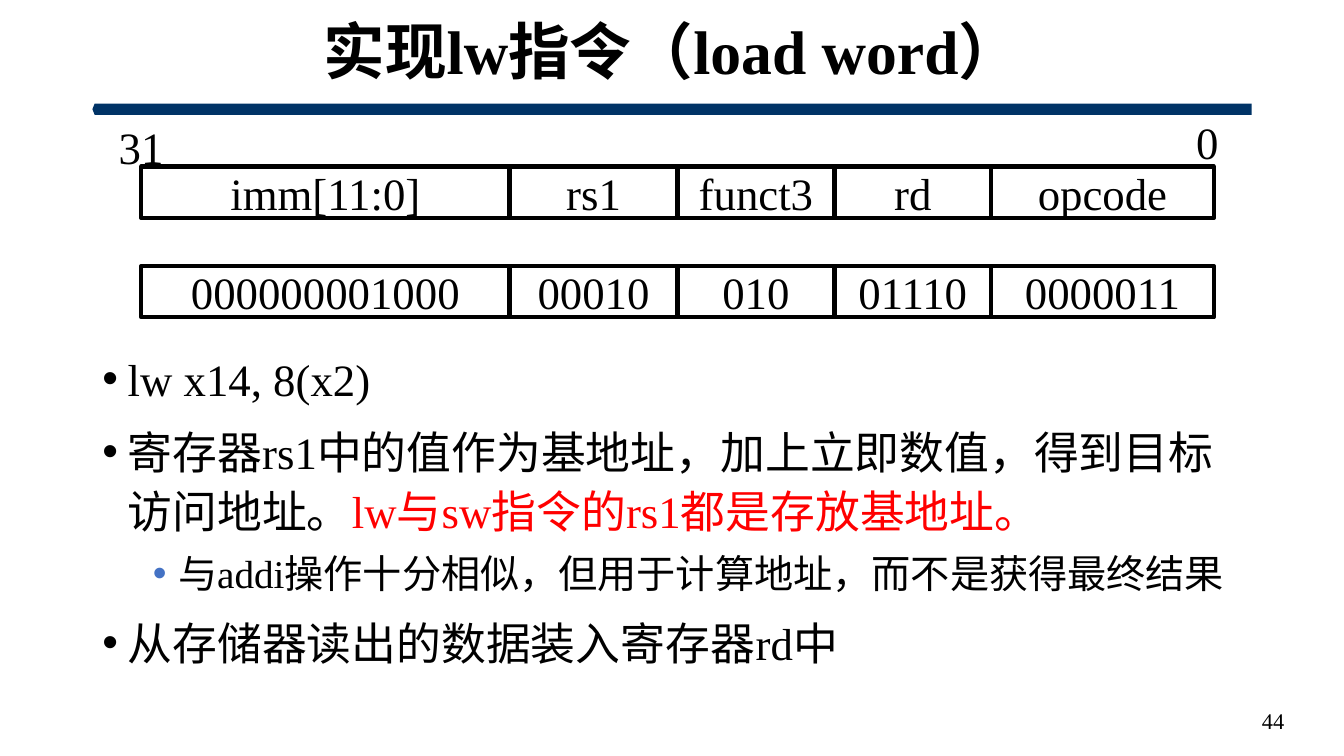
from lxml import etree
from pptx import Presentation
from pptx.dml.color import RGBColor
from pptx.enum.shapes import MSO_SHAPE
from pptx.enum.text import MSO_ANCHOR, MSO_AUTO_SIZE, PP_ALIGN
from pptx.oxml.ns import qn
from pptx.util import Pt

BLACK = RGBColor(0x00, 0x00, 0x00)
RED = RGBColor(0xFF, 0x00, 0x00)
NAVY = RGBColor(0x00, 0x33, 0x66)
BLUE = RGBColor(0x44, 0x72, 0xC4)
FONT = "Times New Roman"
LEFT, CENTER, RIGHT = PP_ALIGN.LEFT, PP_ALIGN.CENTER, PP_ALIGN.RIGHT
MIDDLE, TOP = MSO_ANCHOR.MIDDLE, MSO_ANCHOR.TOP
NO_AUTOFIT = MSO_AUTO_SIZE.NONE


def place(shape, left, top, width, height):
    shape.left, shape.top = Pt(left), Pt(top)
    shape.width, shape.height = Pt(width), Pt(height)


def write(shape, text, size, align, anchor=MIDDLE, bold=False):
    frame = shape.text_frame
    frame.text = text
    frame.word_wrap = True
    frame.auto_size = NO_AUTOFIT
    frame.vertical_anchor = anchor
    para = frame.paragraphs[0]
    para.alignment = align
    font = para.runs[0].font
    font.name, font.size, font.bold = FONT, Pt(size), bold
    font.color.rgb = BLACK


deck = Presentation()
deck.slide_width, deck.slide_height = Pt(960), Pt(540)
page = deck.slides.add_slide(deck.slide_layouts[1])

# Title and the bar below it
title = page.shapes.title
place(title, 66, 9.5, 828, 59)
write(title, "实现lw指令（load word）", 44, CENTER, bold=True)
title.text_frame.paragraphs[0].line_spacing = 0.9

bar = page.shapes.add_shape(MSO_SHAPE.PENTAGON, Pt(66), Pt(74), Pt(828), Pt(8))
bar.adjustments[0] = 0.2
bar.rotation = 180
bar.shadow.inherit = False
bar.fill.solid()
bar.fill.fore_color.rgb = NAVY
bar.line.fill.background()

# Bullet list: level, indent, space before, size, bullet colour, spans
bullets = [
    (0, 18, 0, 32, BLACK, [("lw x14, 8(x2)", BLACK)]),
    (0, 18, 10, 32, BLACK, [
        ("寄存器rs1中的值作为基地址，加上立即数值，得到目标访问地址。", BLACK),
        ("lw与sw指令的rs1都是存放基地址。", RED)]),
    (1, 54, 5, 28, BLUE, [("与addi操作十分相似，但用于计算地址，而不是获得最终结果", BLACK)]),
    (0, 18, 10, 32, BLACK, [("从存储器读出的数据装入寄存器rd中", BLACK)]),
]
body = page.placeholders[1]
place(body, 66, 243.5, 828, 274)
frame = body.text_frame
frame.auto_size = NO_AUTOFIT
frame.vertical_anchor = TOP
for index, (level, indent, before, size, colour, spans) in enumerate(bullets):
    para = frame.paragraphs[0] if index == 0 else frame.add_paragraph()
    para.level = level
    para.alignment = LEFT
    para.line_spacing = 1.1
    para.space_before = Pt(before)
    properties = para._p.get_or_add_pPr()
    properties.set("marL", str(Pt(indent)))
    properties.set("indent", str(Pt(-18)))
    bullet_colour = etree.SubElement(properties, qn("a:buClr"))
    etree.SubElement(bullet_colour, qn("a:srgbClr"), val=str(colour))
    etree.SubElement(properties, qn("a:buFont"), typeface="Arial")
    etree.SubElement(properties, qn("a:buChar"), char="•")
    for text, text_colour in spans:
        span = para.add_run()
        span.text = text
        span.font.name, span.font.size = FONT, Pt(size)
        span.font.color.rgb = text_colour

# Bit numbers and page number
for text, left, top, width, height, size, align, anchor in [
    ("31", 75.6, 82, 50.4, 37.4, 32, CENTER, TOP),
    ("0", 847.4, 78.5, 33, 37.4, 32, LEFT, TOP),
    ("44", 708.5, 500.5, 216, 28.8, 16, RIGHT, MIDDLE),
]:
    box = page.shapes.add_textbox(Pt(left), Pt(top), Pt(width), Pt(height))
    write(box, text, size, align, anchor)

# Instruction format and its encoding
widths = [263, 120, 112, 112, 159]
rows = [
    (119, ["imm[11:0]", "rs1", "funct3", "rd", "opcode"]),
    (190, ["000000001000", "00010", "010", "01110", "0000011"]),
]
for top, fields in rows:
    left = 101
    for text, width in zip(fields, widths):
        field = page.shapes.add_shape(
            MSO_SHAPE.RECTANGLE, Pt(left), Pt(top), Pt(width), Pt(36.7))
        field.shadow.inherit = False
        field.fill.background()
        field.line.color.rgb = BLACK
        field.line.width = Pt(3)
        write(field, text, 32, CENTER)
        field.text_frame.margin_left = field.text_frame.margin_right = 0
        left += width

deck.save("out.pptx")
